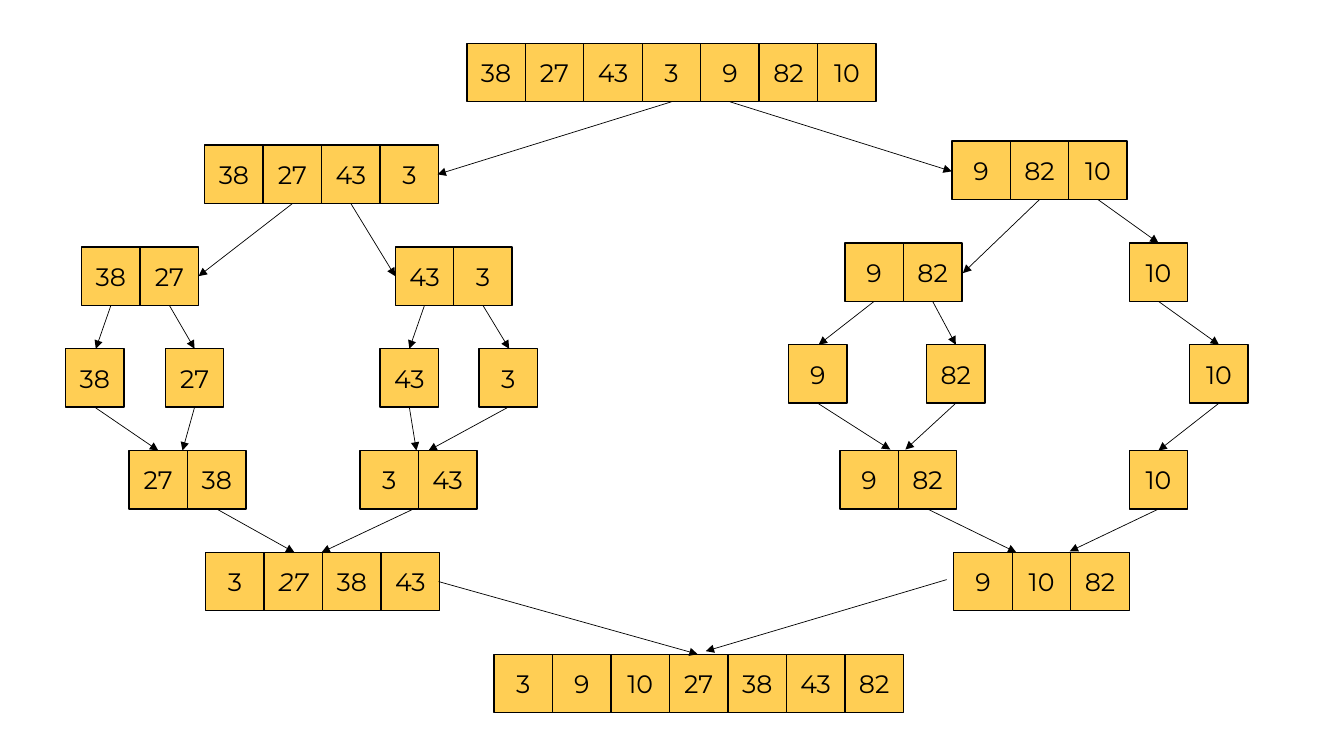
"""Draw the steps of a merge sort as rows of boxes joined by arrows."""
import lxml.etree
import pptx
import pptx.dml.color
import pptx.enum.shapes
import pptx.enum.text
import pptx.oxml.ns
import pptx.util

SCALE = 9144
SIDE = 58
INK = "000000"
GOLD = "FFCE54"

# left, top, values, arrows as (cell, end x, end y)
ROWS = [
    (463, 43, "38 27 43 3 9 82 10", [(3, 434, 173), (4, 944, 170)]),
    (203, 144, "38 27 43 3", [(1, 197, 274), (2, 392, 274)]),
    (944, 140, "9 82 10", [(1, 955, 271), (2, 1149, 241)]),
    (81, 245, "38 27", [(0, 95, 346), (1, 193, 346)]),
    (392, 245, "43 3", [(0, 406, 346), (1, 505, 346)]),
    (838, 241, "9 82", [(0, 812, 342), (1, 948, 342)]),
    (1120, 241, "10", [(0, 1209, 342)]),
    (65, 346, "38", [(0, 157, 447)]),
    (164, 346, "27", [(0, 181, 447)]),
    (377, 346, "43", [(0, 413, 447)]),
    (475, 346, "3", [(0, 425, 447)]),
    (782, 342, "9", [(0, 883, 446)]),
    (919, 342, "82", [(0, 898, 446)]),
    (1180, 342, "10", [(0, 1149, 447)]),
    (128, 447, "27 38", [(1, 292, 548)]),
    (357, 447, "3 43", []),
    (833, 447, "9 82", [(1, 1008, 548)]),
    (1120, 447, "10", [(0, 1061, 547)]),
    (204, 548, "3 27 38 43", []),
    (946, 548, "9 10 82", []),
    (490, 649, "3 9 10 27 38 43 82", []),
]
MERGES = [(410, 505, 319, 548), (939, 575, 700, 646), (435, 577, 692, 649)]
SLANTED = (204, 548, 1)


def px(n):
    """Turn whole px into EMU."""
    return pptx.util.Emu(n * SCALE)


def color(code):
    """Turn a hex string into a colour."""
    return pptx.dml.color.RGBColor.from_string(code)


def add_cell(shapes, left, top, text, slant):
    """Add one numbered box."""
    box = shapes.add_shape(pptx.enum.shapes.MSO_SHAPE.RECTANGLE,
                           px(left), px(top), px(SIDE), px(SIDE))
    box.shadow.inherit = False
    box.fill.solid()
    box.fill.fore_color.rgb = color(GOLD)
    box.line.color.rgb = color(INK)
    box.line.width = pptx.util.Pt(1)
    frame = box.text_frame
    frame.margin_left = frame.margin_right = 0
    frame.vertical_anchor = pptx.enum.text.MSO_ANCHOR.MIDDLE
    para = frame.paragraphs[0]
    para.text = text
    para.alignment = pptx.enum.text.PP_ALIGN.CENTER
    font = para.font
    font.name = "Montserrat"
    font.size = pptx.util.Pt(18)
    font.color.rgb = color(INK)
    if slant:
        font.italic = True


def add_row(shapes, left, top, values):
    """Add a list of boxes side by side, grouped when there are several."""
    if len(values) > 1:
        shapes = shapes.add_group_shape().shapes
    for i, value in enumerate(values):
        add_cell(shapes, left + i * SIDE, top, value, (left, top, i) == SLANTED)


def add_arrow(shapes, x1, y1, x2, y2):
    """Add a thin line with an arrowhead at its end."""
    arrow = shapes.add_connector(pptx.enum.shapes.MSO_CONNECTOR.STRAIGHT,
                                 px(x1), px(y1), px(x2), px(y2))
    arrow.line.color.rgb = color(INK)
    arrow.line.width = pptx.util.Pt(0.5)
    qn = pptx.oxml.ns.qn
    props = arrow.element.spPr
    lxml.etree.SubElement(props.find(qn("a:ln")), qn("a:tailEnd"), type="triangle")
    lxml.etree.SubElement(props, qn("a:effectLst"))


def main():
    """Build and save the slide."""
    deck = pptx.Presentation()
    deck.slide_width, deck.slide_height = px(1333), px(750)
    shapes = deck.slides.add_slide(deck.slide_layouts[6]).shapes
    for left, top, values, _ in ROWS:
        add_row(shapes, left, top, values.split())
    for left, top, _, ends in ROWS:
        for i, x, y in ends:
            add_arrow(shapes, left + i * SIDE + SIDE // 2, top + SIDE, x, y)
    for ends in MERGES:
        add_arrow(shapes, *ends)
    deck.save("out.pptx")


if __name__ == "__main__":
    main()
